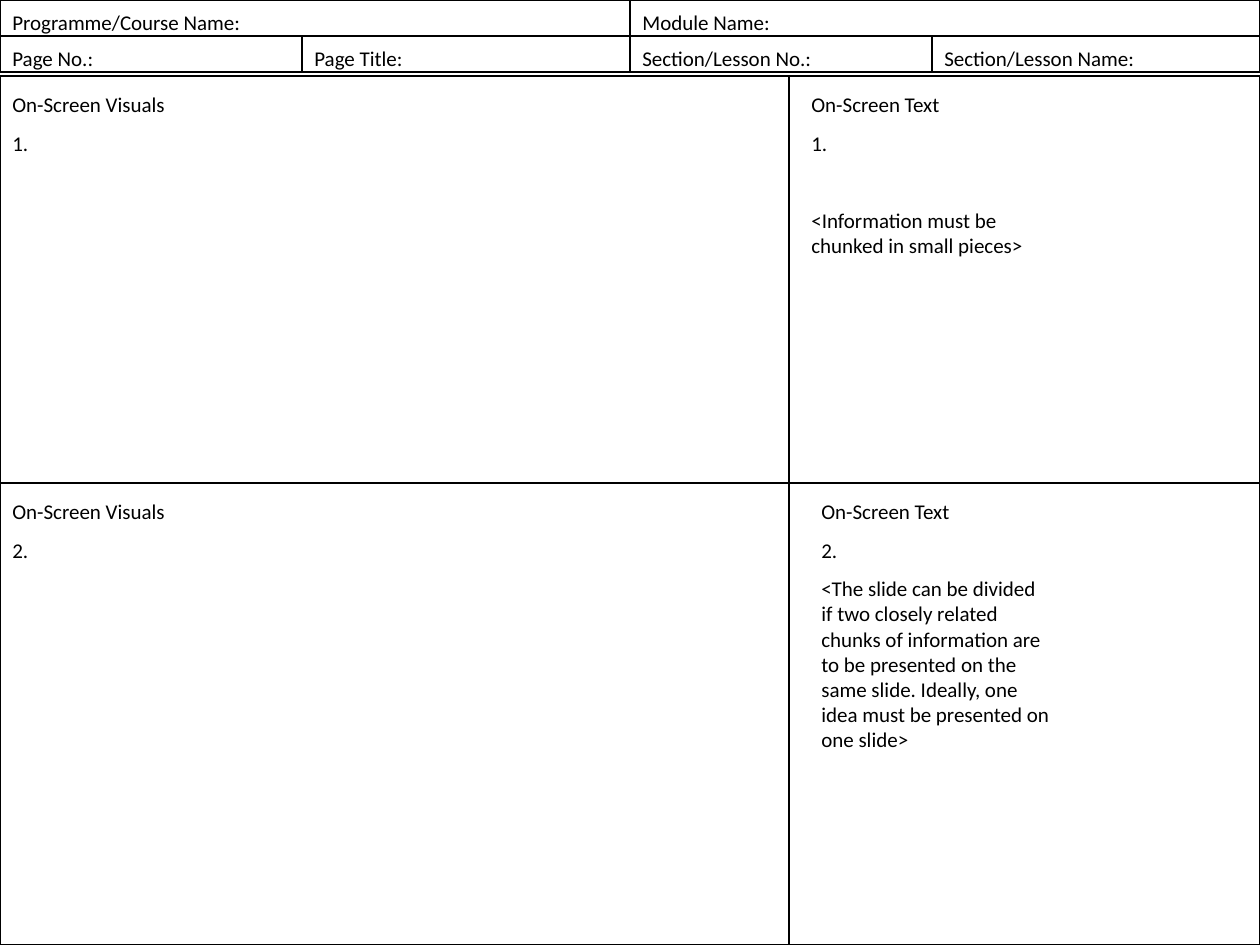
from pptx import Presentation
from pptx import util as u
from pptx.dml.color import RGBColor
from pptx.enum import shapes, text

PX = u.Inches(1) // 126
BLACK = RGBColor(0, 0, 0)
WHITE = RGBColor(255, 255, 255)
WIDE, TALL = 1260, 945

# Header rows: (label, width) from left to right
HEAD = [
    [("Programme/Course Name:", 630), ("Module Name:", 630)],
    [("Page No.:", 302), ("Page Title:", 328),
     ("Section/Lesson No.:", 302), ("Section/Lesson Name:", 328)],
]
ROW = 36

# Body panels: (left, indent, note height, paragraphs) for each cell
BODY = [
    [(0, 0, 77, ["On-Screen Visuals", "1."]),
     (789, 10, 179, ["On-Screen Text", "1.",
                     "<Information must be chunked in small pieces>"])],
    [(0, 0, 77, ["On-Screen Visuals", "2."]),
     (789, 20, 266, ["On-Screen Text", "2.",
                     "<The slide can be divided if two closely related chunks "
                     "of information are to be presented on the same slide. "
                     "Ideally, one idea must be presented on one slide>"])],
]
TOPS = [76, 483, TALL]
EDGES = [0, 789, WIDE]
NOTE, DROP = 253, 10
GAP, BREAK = 7.5, 29.6  # points between paragraphs; wider before the first note

deck = Presentation()
deck.slide_width, deck.slide_height = WIDE * PX, TALL * PX
slide = deck.slides.add_slide(deck.slide_layouts[6])


def panel(*spot):
    box = slide.shapes.add_shape(shapes.MSO_SHAPE.RECTANGLE,
                                 *(n * PX for n in spot))
    box.shadow.inherit = False
    box.fill.solid()
    box.fill.fore_color.rgb = WHITE
    box.line.color.rgb = BLACK
    box.line.width = u.Pt(0.75)
    return box


def write(box, lines, gaps=(), top=6, base=6, wrap=True, grow=False):
    frame = box.text_frame
    frame.word_wrap = wrap
    frame.vertical_anchor = text.MSO_ANCHOR.TOP
    frame.margin_left = frame.margin_right = u.Inches(0.1)
    frame.margin_top, frame.margin_bottom = top * PX, base * PX
    if grow:
        frame.auto_size = text.MSO_AUTO_SIZE.SHAPE_TO_FIT_TEXT
    for i, line in enumerate(lines):
        para = frame.paragraphs[0] if i == 0 else frame.add_paragraph()
        para.alignment = text.PP_ALIGN.LEFT
        if i:
            para.space_before = u.Pt(gaps[i - 1])
        run = para.add_run()
        run.text = line
        run.font.name = "Calibri"
        run.font.size = u.Pt(12)
        run.font.color.rgb = BLACK


# Header cells
for r, cells in enumerate(HEAD):
    left = 0
    for label, width in cells:
        write(panel(left, r * ROW, width, ROW), [label],
              top=10, base=0, wrap=False)
        left += width

# Body panels with their notes
for r, cells in enumerate(BODY):
    top = TOPS[r]
    for c, (left, indent, high, lines) in enumerate(cells):
        panel(left, top, EDGES[c + 1] - left, TOPS[r + 1] - top)
        spot = (left + indent, top + DROP, NOTE, high)
        note = slide.shapes.add_textbox(*(n * PX for n in spot))
        write(note, lines, gaps=(GAP, GAP if r else BREAK), grow=True)

deck.save("out.pptx")
